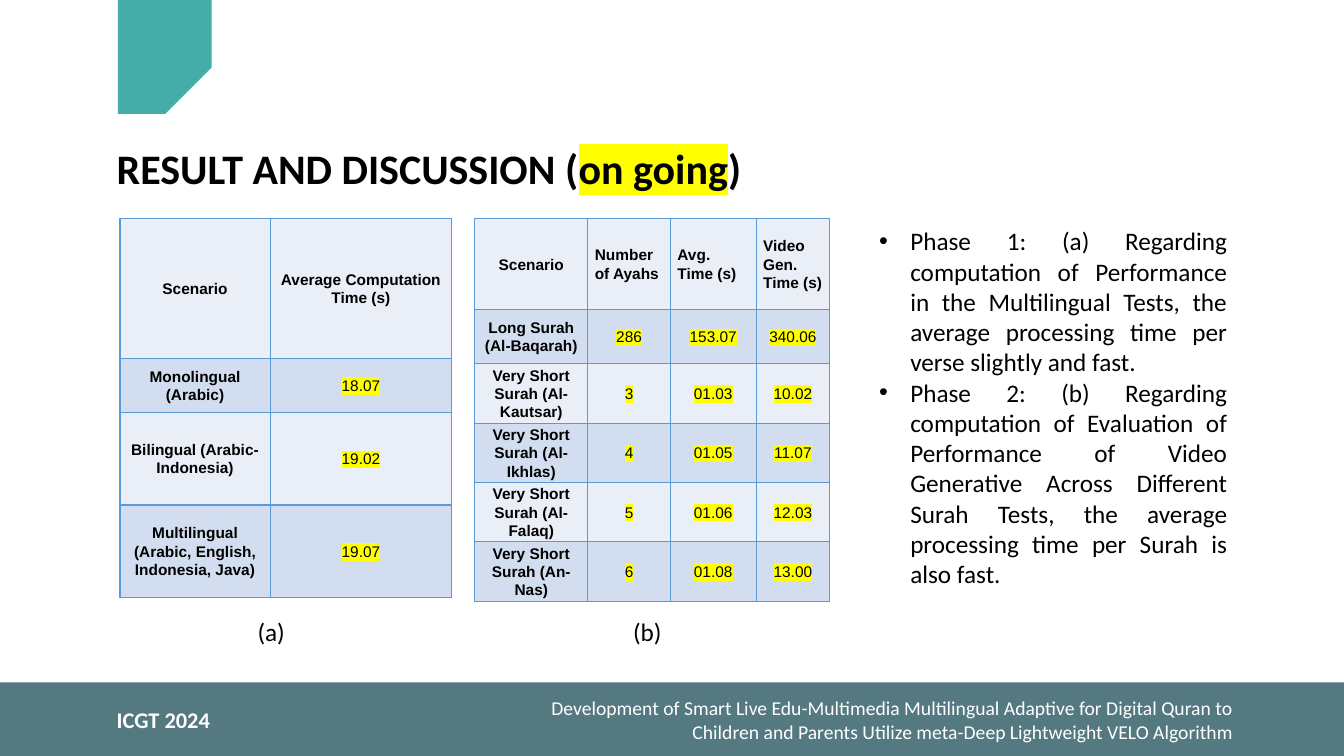
from lxml import etree
from pptx import Presentation
from pptx import util as u
from pptx.dml.color import RGBColor
from pptx.enum import shapes, text
from pptx.oxml.ns import qn

BLACK, WHITE, YELLOW = "000000", "FFFFFF", "FFFF00"
SLATE, TEAL, BORDER = "547981", "44ADA8", "5B9BD5"
BANDS = ("EAEFF7", "D2DEEF")
LEFT, CENTER = text.PP_ALIGN.LEFT, text.PP_ALIGN.CENTER
RIGHT, JUSTIFY = text.PP_ALIGN.RIGHT, text.PP_ALIGN.JUSTIFY

COMPUTATION = [
    ["Scenario", "Average Computation Time (s)"],
    ["Monolingual (Arabic)", "18.07"],
    ["Bilingual (Arabic-Indonesia)", "19.02"],
    ["Multilingual (Arabic, English, Indonesia, Java)", "19.07"],
]
GENERATION = [
    ["Scenario", "Number of Ayahs", "Avg. Time (s)", "Video Gen. Time (s)"],
    ["Long Surah (Al-Baqarah)", "286", "153.07", "340.06"],
    ["Very Short Surah (Al-Kautsar)", "3", "01.03", "10.02"],
    ["Very Short Surah (Al-Ikhlas)", "4", "01.05", "11.07"],
    ["Very Short Surah (Al-Falaq)", "5", "01.06", "12.03"],
    ["Very Short Surah (An-Nas)", "6", "01.08", "13.00"],
]
FINDINGS = [
    "Phase 1: (a) Regarding computation of Performance in the Multilingual Tests, "
    "the average processing time per verse slightly and fast.",
    "Phase 2: (b) Regarding computation of Evaluation of Performance of Video "
    "Generative Across Different Surah Tests, the average processing time per "
    "Surah is also fast.",
]
PAPER_TITLE = (
    "Development of Smart Live Edu-Multimedia Multilingual Adaptive for Digital "
    "Quran to Children and Parents Utilize meta-Deep Lightweight VELO Algorithm"
)


def color(value):
    return RGBColor.from_string(value)


def inches(box):
    return [u.Inches(value) for value in box]


def apply(target, formats):
    for name, value in formats.items():
        setattr(target, name, value)


def add_span(para, words, size, shade=BLACK, bold=False, face="Calibri", marked=False):
    span = para.add_run()
    span.text = words
    apply(span.font, {"size": u.Pt(size), "bold": bold, "name": face})
    span.font.color.rgb = color(shade)
    if marked:
        highlight = etree.Element(qn("a:highlight"))
        etree.SubElement(highlight, qn("a:srgbClr"), val=YELLOW)
        span.font._element.find(qn("a:latin")).addprevious(highlight)


def add_text(page, box, paragraphs, align=LEFT, bullets=False, **style):
    frame = page.shapes.add_textbox(*inches(box)).text_frame
    apply(frame, {"word_wrap": True, "auto_size": text.MSO_AUTO_SIZE.SHAPE_TO_FIT_TEXT})
    for index, spans in enumerate(paragraphs):
        para = frame.paragraphs[0] if index == 0 else frame.add_paragraph()
        para.alignment = align
        if bullets:
            properties = para._p.get_or_add_pPr()
            indent = u.Inches(0.31)
            properties.set("marL", str(indent))
            properties.set("indent", str(-indent))
            etree.SubElement(properties, qn("a:buFont"), typeface="Arial")
            etree.SubElement(properties, qn("a:buChar"), char="•")
        for words, marked in spans:
            add_span(para, words, marked=marked, **style)


def add_block(page, box, preset, fill):
    block = page.shapes.add_shape(preset, *inches(box))
    block.shadow.inherit = False
    block.fill.solid()
    block.fill.fore_color.rgb = color(fill)
    block.line.fill.background()
    return block


def add_borders(cell):
    properties = cell._tc.get_or_add_tcPr()
    for position, side in enumerate(("lnL", "lnR", "lnT", "lnB")):
        line = etree.Element(qn("a:" + side), w=str(u.Pt(1)))
        fill = etree.SubElement(line, qn("a:solidFill"))
        etree.SubElement(fill, qn("a:srgbClr"), val=BORDER)
        properties.insert(position, line)


def add_results(page, left, top, widths, heights, records, header_align):
    box = (left, top, sum(widths), sum(heights))
    table = page.shapes.add_table(len(heights), len(widths), *inches(box)).table
    apply(table, {"first_row": False, "horz_banding": False})
    for column, width in zip(table.columns, widths):
        column.width = u.Inches(width)
    for row, height in zip(table.rows, heights):
        row.height = u.Inches(height)
    for r, record in enumerate(records):
        for c, words in enumerate(record):
            cell = table.cell(r, c)
            apply(cell, {
                "vertical_anchor": text.MSO_ANCHOR.MIDDLE,
                "margin_left": u.Inches(0.07), "margin_right": u.Inches(0.07),
                "margin_top": 0, "margin_bottom": 0,
            })
            cell.fill.solid()
            cell.fill.fore_color.rgb = color(BANDS[r % 2])
            add_borders(cell)
            para = cell.text_frame.paragraphs[0]
            apply(para, {
                "alignment": header_align if r == 0 and c > 0 else CENTER,
                "line_spacing": 1.07, "space_after": u.Pt(8),
            })
            measured = r > 0 and c > 0
            add_span(para, words, 11, bold=not measured, face="Arial", marked=measured)


def add_header(page, left, top):
    tab = add_block(page, (left + 0.11, top, 0.93, 1.15),
                    shapes.MSO_SHAPE.SNIP_1_RECTANGLE, TEAL)
    tab.adjustments[0] = 0.495
    tab.rotation = 180
    tab._element.spPr.xfrm.set("flipH", "1")
    title = [("RESULT AND DISCUSSION (", False), ("on going", True), (")", False)]
    add_text(page, (left, top + 1.38, 7.24, 0.61), [title], size=30, bold=True)


def add_body(page, left, top):
    add_results(page, left, top, [1.49, 1.8], [1.39, 0.53, 0.92, 0.92],
                COMPUTATION, CENTER)
    add_results(page, left + 3.52, top, [1.12, 0.82, 0.85, 0.73],
                [0.9, 0.54] + [0.56] * 4, GENERATION, JUSTIFY)
    for offset, label in ((1.17, "(a)"), (4.9, "(b)")):
        add_text(page, (left + offset, top + 3.9, 0.66, 0.4), [[(label, False)]],
                 CENTER, size=18)
    add_text(page, (left + 7.43, top + 0.02, 3.65, 4.04),
             [[(finding, False)] for finding in FINDINGS], JUSTIFY, bullets=True, size=18)


def add_footer(page, top, width, height):
    add_block(page, (0, top, width, height), shapes.MSO_SHAPE.RECTANGLE, SLATE)
    add_text(page, (1.06, top + 0.19, 2.26, 0.37), [[("ICGT 2024", False)]],
             size=16, shade=WHITE, bold=True)
    add_text(page, (width - 8.17, top + 0.09, 7.17, 0.57), [[(PAPER_TITLE, False)]],
             RIGHT, size=14, shade=WHITE)


def main():
    deck = Presentation()
    apply(deck, {"slide_width": u.Inches(13.33), "slide_height": u.Inches(7.5)})
    page = deck.slides.add_slide(deck.slide_layouts[6])
    add_footer(page, 6.77, 13.33, 0.73)
    add_header(page, 1.06, -0.02)
    add_body(page, 1.19, 2.17)
    deck.save("out.pptx")


if __name__ == "__main__":
    main()
